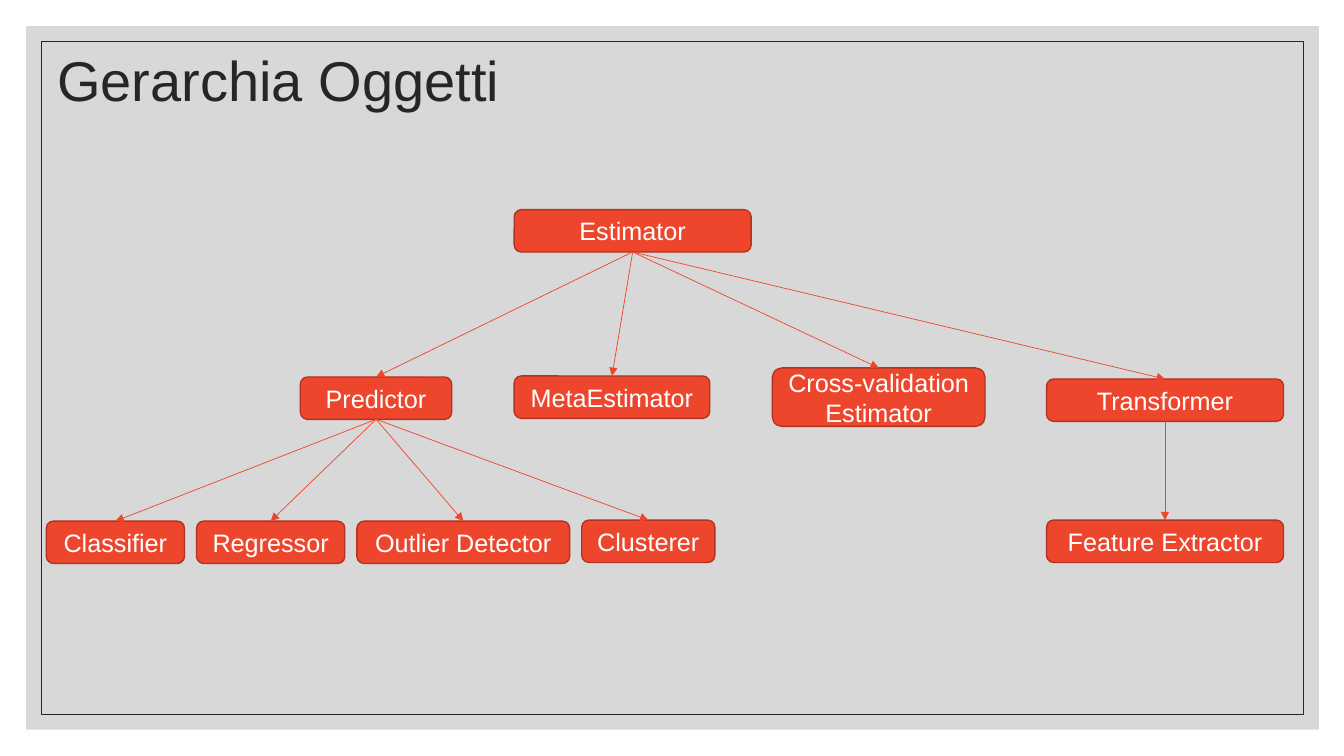
from dataclasses import dataclass

from lxml import etree
from pptx import Presentation
from pptx.dml.color import RGBColor
from pptx.enum.shapes import MSO_CONNECTOR, MSO_SHAPE
from pptx.enum.text import MSO_ANCHOR, PP_ALIGN
from pptx.oxml.ns import qn
from pptx.util import Inches, Pt

RECTANGLE = MSO_SHAPE.RECTANGLE
NODE_SHAPE = MSO_SHAPE.FLOWCHART_ALTERNATE_PROCESS
STRAIGHT = MSO_CONNECTOR.STRAIGHT
MIDDLE = MSO_ANCHOR.MIDDLE
LEFT, CENTER = PP_ALIGN.LEFT, PP_ALIGN.CENTER
TOP_SITE, BOTTOM_SITE = 0, 2
NODE_HEIGHT = 0.42

NODES = {
    "Estimator": (5.1, 2.08, 2.35, NODE_HEIGHT),
    "Predictor": (2.98, 3.74, 1.5, NODE_HEIGHT),
    "Transformer": (10.38, 3.76, 2.35, NODE_HEIGHT),
    "MetaEstimator": (5.1, 3.73, 1.94, NODE_HEIGHT),
    "Cross-validation Estimator": (7.66, 3.65, 2.11, 0.58),
    "Classifier": (0.46, 5.17, 1.37, NODE_HEIGHT),
    "Regressor": (1.95, 5.17, 1.47, NODE_HEIGHT),
    "Outlier Detector": (3.54, 5.17, 2.11, NODE_HEIGHT),
    "Clusterer": (5.77, 5.16, 1.32, NODE_HEIGHT),
    "Feature Extractor": (10.38, 5.16, 2.35, NODE_HEIGHT),
}
CHILDREN = {
    "Estimator": ["Predictor", "MetaEstimator", "Cross-validation Estimator", "Transformer"],
    "Predictor": ["Classifier", "Regressor", "Outlier Detector", "Clusterer"],
    "Transformer": ["Feature Extractor"],
}


@dataclass(frozen=True)
class Theme:
    """Colours, font and sizes of the slide."""
    font: str = "Arial"
    panel: RGBColor = RGBColor(0xBF, 0xBF, 0xBF)
    panel_opacity: int = 60
    ink: RGBColor = RGBColor(0x26, 0x26, 0x26)
    accent: RGBColor = RGBColor(0xEE, 0x46, 0x2D)
    accent_edge: RGBColor = RGBColor(0xB0, 0x34, 0x21)
    white: RGBColor = RGBColor(0xFF, 0xFF, 0xFF)
    title_size: int = 40
    node_size: int = 18
    thin: float = 0.5
    edge: float = 1


class HierarchySlide:
    """Draws the elements of a hierarchy on one slide."""

    def __init__(self, slide, theme):
        self.shapes = slide.shapes
        self.theme = theme

    def label(self, shape, text, size, color, alignment):
        """Put one formatted paragraph in a shape."""
        frame = shape.text_frame
        frame.text = text
        frame.word_wrap = True
        frame.vertical_anchor = MIDDLE
        para = frame.paragraphs[0]
        para.alignment = alignment
        font = para.runs[0].font
        font.name, font.size = self.theme.font, Pt(size)
        font.color.rgb = color
        return para

    def shape(self, kind, bounds, fill=None, line=None, width=0):
        """Add a preset shape with optional fill and outline."""
        box = self.shapes.add_shape(kind, *map(Inches, bounds))
        box.shadow.inherit = False
        if fill is None:
            box.fill.background()
        else:
            box.fill.solid()
            box.fill.fore_color.rgb = fill
        if line is None:
            box.line.fill.background()
        else:
            box.line.color.rgb = line
            box.line.width = Pt(width)
        return box

    def background(self):
        """Add the translucent panel and the thin frame."""
        panel = self.shape(RECTANGLE, (0.26, 0.26, 12.82, 6.98), self.theme.panel)
        color = panel._element.spPr.find(".//" + qn("a:srgbClr"))
        etree.SubElement(color, qn("a:alpha"), val=str(self.theme.panel_opacity * 1000))
        self.shape(RECTANGLE, (0.41, 0.41, 12.52, 6.68), None, self.theme.ink, self.theme.thin)

    def title(self, text):
        """Add the slide title."""
        box = self.shapes.add_textbox(*map(Inches, (0.47, 0.47, 12.39, 0.71)))
        para = self.label(box, text, self.theme.title_size, self.theme.ink, LEFT)
        para.line_spacing = 0.9

    def node(self, text, bounds):
        """Add one class of the hierarchy."""
        theme = self.theme
        box = self.shape(NODE_SHAPE, bounds, theme.accent, theme.accent_edge, theme.edge)
        self.label(box, text, theme.node_size, theme.white, CENTER)
        return box

    def arrow(self, parent, child):
        """Join the bottom of a parent to the top of its child."""
        link = self.shapes.add_connector(STRAIGHT, 0, 0, 0, 0)
        link.begin_connect(parent, BOTTOM_SITE)
        link.end_connect(child, TOP_SITE)
        link.line.color.rgb = self.theme.accent
        link.line.width = Pt(self.theme.thin)
        properties = link._element.spPr
        etree.SubElement(properties.find(qn("a:ln")), qn("a:tailEnd"), type="triangle")
        etree.SubElement(properties, qn("a:effectLst"))


def main():
    """Build and save the deck."""
    deck = Presentation()
    deck.slide_width, deck.slide_height = Inches(13.33), Inches(7.5)
    page = HierarchySlide(deck.slides.add_slide(deck.slide_layouts[6]), Theme())
    page.background()
    page.title("Gerarchia Oggetti")
    boxes = {name: page.node(name, bounds) for name, bounds in NODES.items()}
    for parent, children in CHILDREN.items():
        for child in children:
            page.arrow(boxes[parent], boxes[child])
    deck.save("out.pptx")


if __name__ == "__main__":
    main()
